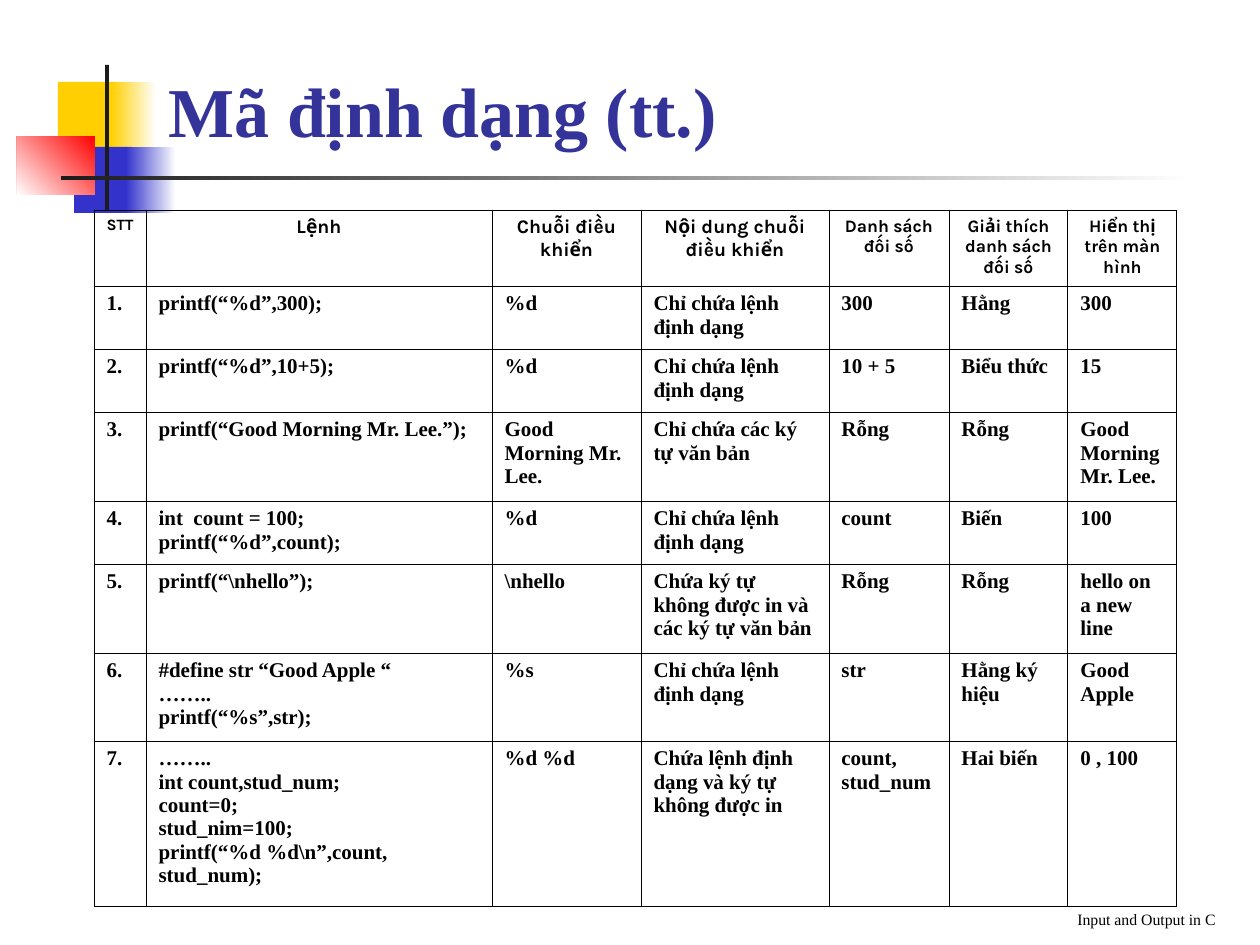
from typing import NamedTuple, Optional

from lxml import etree
from pptx import Presentation
from pptx.dml.color import RGBColor
from pptx.enum.shapes import MSO_SHAPE
from pptx.enum.text import MSO_ANCHOR, MSO_AUTO_SIZE, PP_ALIGN
from pptx.oxml.ns import qn
from pptx.util import Emu, Pt

RECT = MSO_SHAPE.RECTANGLE
TOP, BOTTOM = MSO_ANCHOR.TOP, MSO_ANCHOR.BOTTOM
LEFT, CENTER, RIGHT = PP_ALIGN.LEFT, PP_ALIGN.CENTER, PP_ALIGN.RIGHT
NO_AUTOFIT = MSO_AUTO_SIZE.NONE

BLACK = RGBColor(0x00, 0x00, 0x00)
WHITE = RGBColor(0xFF, 0xFF, 0xFF)
YELLOW = RGBColor(0xFF, 0xCF, 0x01)
BLUE = RGBColor(0x33, 0x33, 0xCC)
RED = RGBColor(0xFF, 0x00, 0x00)
CHARCOAL = RGBColor(0x1C, 0x1C, 0x1C)
INDIGO = RGBColor(0x33, 0x33, 0x99)

SERIF, SANS = "Times New Roman", "Karla"
PX_PER_INCH = 126


def px(n: int) -> Emu:
    return Emu(round(n * 914400 / PX_PER_INCH))


class Box(NamedTuple):
    x: int
    y: int
    w: int
    h: int

    def emu(self) -> list:
        return [px(n) for n in self]


class Block(NamedTuple):
    box: Box
    color: RGBColor
    fade_to: Optional[RGBColor] = None
    angle: int = 0  # counter-clockwise


class Style(NamedTuple):
    size: int
    font: str = SERIF
    color: RGBColor = BLACK
    bold: bool = True
    align: PP_ALIGN = LEFT


BLOCKS = [
    Block(Box(58, 82, 60, 66), YELLOW),
    Block(Box(111, 82, 45, 66), WHITE, YELLOW, 180),
    Block(Box(74, 147, 58, 66), BLUE),
    Block(Box(126, 147, 50, 66), WHITE, BLUE, 180),
    Block(Box(17, 136, 78, 59), RED, WHITE, 225),
    Block(Box(105, 65, 4, 145), CHARCOAL),
    Block(Box(61, 176, 1134, 4), WHITE, CHARCOAL, 180),
]

TITLE_BOX = Box(156, 66, 852, 92)
FOOTER_BOX = Box(462, 872, 766, 63)
TABLE_X, TABLE_Y = 94, 210
COL_WIDTHS = [52, 346, 149, 188, 120, 119, 109]
ROW_HEIGHTS = [76, 63, 63, 89, 63, 89, 88, 165]

HEADER = ["STT", "Lệnh", "Chuỗi điều khiển", "Nội dung chuỗi điều khiển",
          "Danh sách đối số", "Giải thích danh sách đối số",
          "Hiển thị trên màn hình"]
HEADER_SIZES = [9, 11, 11, 11, 10, 10, 10]
FORMAT_ONLY = "Chỉ chứa lệnh định dạng"

# Each line of a cell is a paragraph; row numbers are added when drawn
ROWS = [
    ["printf(“%d”,300);", "%d", FORMAT_ONLY, "300", "Hằng", "300"],
    ["printf(“%d”,10+5);", "%d", FORMAT_ONLY, "10 + 5", "Biểu thức", "15"],
    ["printf(“Good Morning Mr. Lee.”);", "Good Morning Mr. Lee.",
     "Chỉ chứa các ký tự văn bản", "Rỗng", "Rỗng", "Good Morning Mr. Lee."],
    ["int  count = 100;\nprintf(“%d”,count);", "%d", FORMAT_ONLY,
     "count", "Biến", "100"],
    ["printf(“\\nhello”);", "\\nhello",
     "Chứa ký tự không được in và các ký tự văn bản",
     "Rỗng", "Rỗng", "hello on a new line"],
    ["#define str “Good Apple “\n……..\nprintf(“%s”,str);", "%s", FORMAT_ONLY,
     "str", "Hằng ký hiệu", "Good Apple"],
    ["……..\nint count,stud_num;\ncount=0;\nstud_nim=100;\n"
     "printf(“%d %d\\n”,count, stud_num);", "%d %d",
     "Chứa lệnh định dạng và ký tự không được in",
     "count, stud_num", "Hai biến", "0 , 100"],
]


def write(tf, text: str, style: Style) -> None:
    tf.text = text
    font_values = {"size": Pt(style.size), "name": style.font, "bold": style.bold}
    for p in tf.paragraphs:
        p.alignment = style.align
        for r in p.runs:
            for name, value in font_values.items():
                setattr(r.font, name, value)
            r.font.color.rgb = style.color


def format_frame(tf) -> None:
    frame_values = {"word_wrap": True, "auto_size": NO_AUTOFIT,
                    "vertical_anchor": BOTTOM}
    for name, value in frame_values.items():
        setattr(tf, name, value)


def draw_block(s, block: Block) -> None:
    sp = s.shapes.add_shape(RECT, *block.box.emu())
    sp.shadow.inherit = False
    sp.line.fill.background()
    if block.fade_to is None:
        sp.fill.solid()
        sp.fill.fore_color.rgb = block.color
        return
    sp.fill.gradient()
    sp.fill.gradient_angle = block.angle
    for stop, color in zip(sp.fill.gradient_stops, (block.color, block.fade_to)):
        stop.color.rgb = color


def draw_borders(cell) -> None:
    tc_pr = cell._tc.get_or_add_tcPr()
    for i, side in enumerate(("lnL", "lnR", "lnT", "lnB")):
        ln = etree.Element(qn(f"a:{side}"), w=str(Pt(0.45)))
        fill = etree.SubElement(ln, qn("a:solidFill"))
        etree.SubElement(fill, qn("a:srgbClr"), val=str(BLACK))
        tc_pr.insert(i, ln)


def draw_cell(cell, text: str, style: Style) -> None:
    cell.fill.background()
    cell.vertical_anchor = TOP
    write(cell.text_frame, text, style)
    draw_borders(cell)


def draw_table(s) -> None:
    box = Box(TABLE_X, TABLE_Y, sum(COL_WIDTHS), sum(ROW_HEIGHTS))
    table = s.shapes.add_table(len(ROW_HEIGHTS), len(COL_WIDTHS), *box.emu()).table
    table.first_row = table.horz_banding = False
    for col, width in zip(table.columns, COL_WIDTHS):
        col.width = px(width)
    for row, height in zip(table.rows, ROW_HEIGHTS):
        row.height = px(height)

    for c, (text, size) in enumerate(zip(HEADER, HEADER_SIZES)):
        draw_cell(table.cell(0, c), text, Style(size, SANS, align=CENTER))
    for r, values in enumerate(ROWS, start=1):
        for c, text in enumerate([f"{r}.", *values]):
            draw_cell(table.cell(r, c), text, Style(12))


def main() -> None:
    prs = Presentation()
    prs.slide_width, prs.slide_height = px(1260), px(945)
    s = prs.slides.add_slide(prs.slide_layouts[5])

    # Corner decoration
    for block in BLOCKS:
        draw_block(s, block)

    # Title, in front of the decoration
    title = s.shapes.title
    title.left, title.top, title.width, title.height = TITLE_BOX.emu()
    s.shapes.element.append(title.element)
    format_frame(title.text_frame)
    write(title.text_frame, "Mã định dạng (tt.)", Style(40, color=INDIGO))

    # Table of format codes
    draw_table(s)

    # Footer
    footer = s.shapes.add_textbox(*FOOTER_BOX.emu())
    format_frame(footer.text_frame)
    write(footer.text_frame, "Input and Output in C",
          Style(9, bold=False, align=RIGHT))

    prs.save("out.pptx")


if __name__ == "__main__":
    main()
